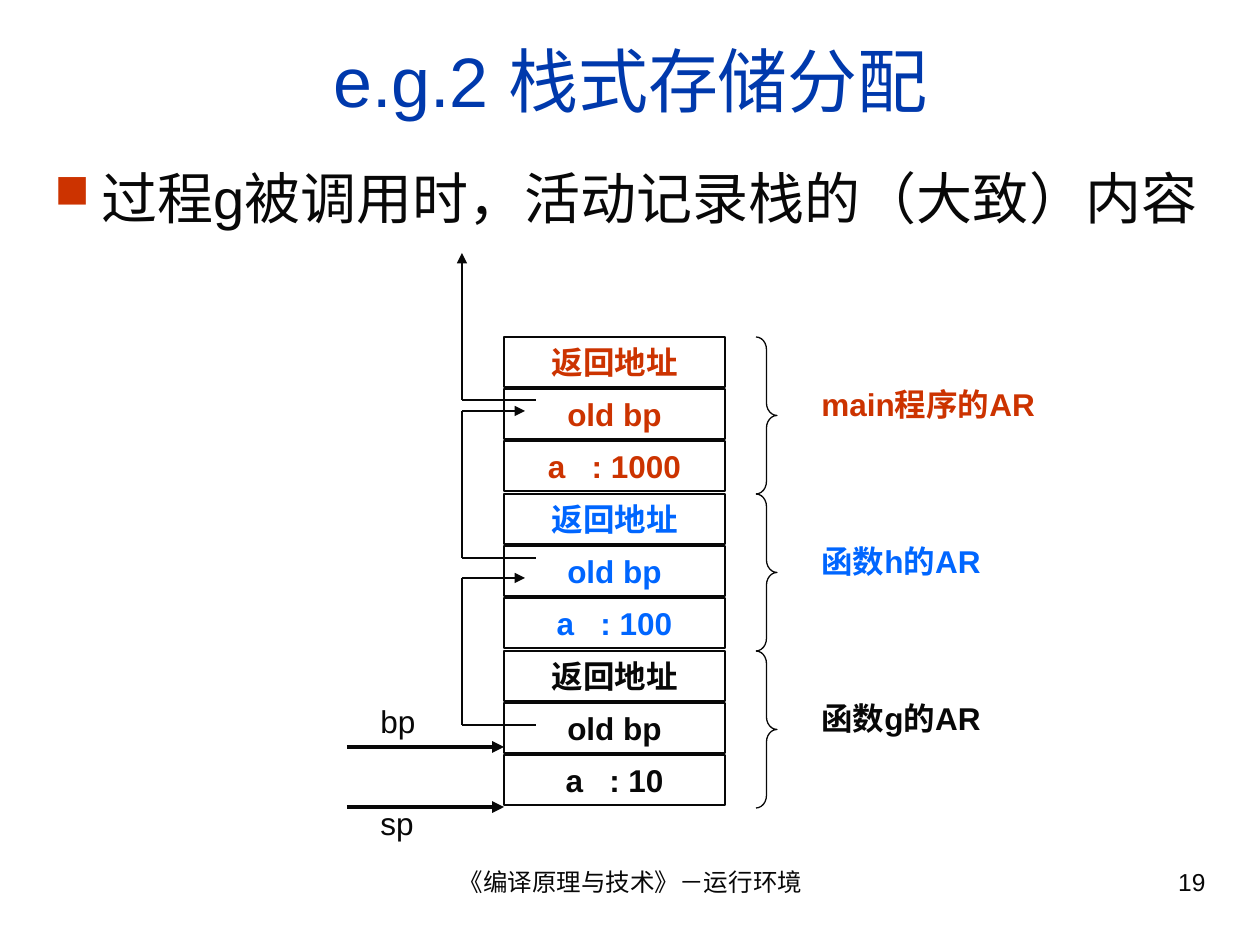
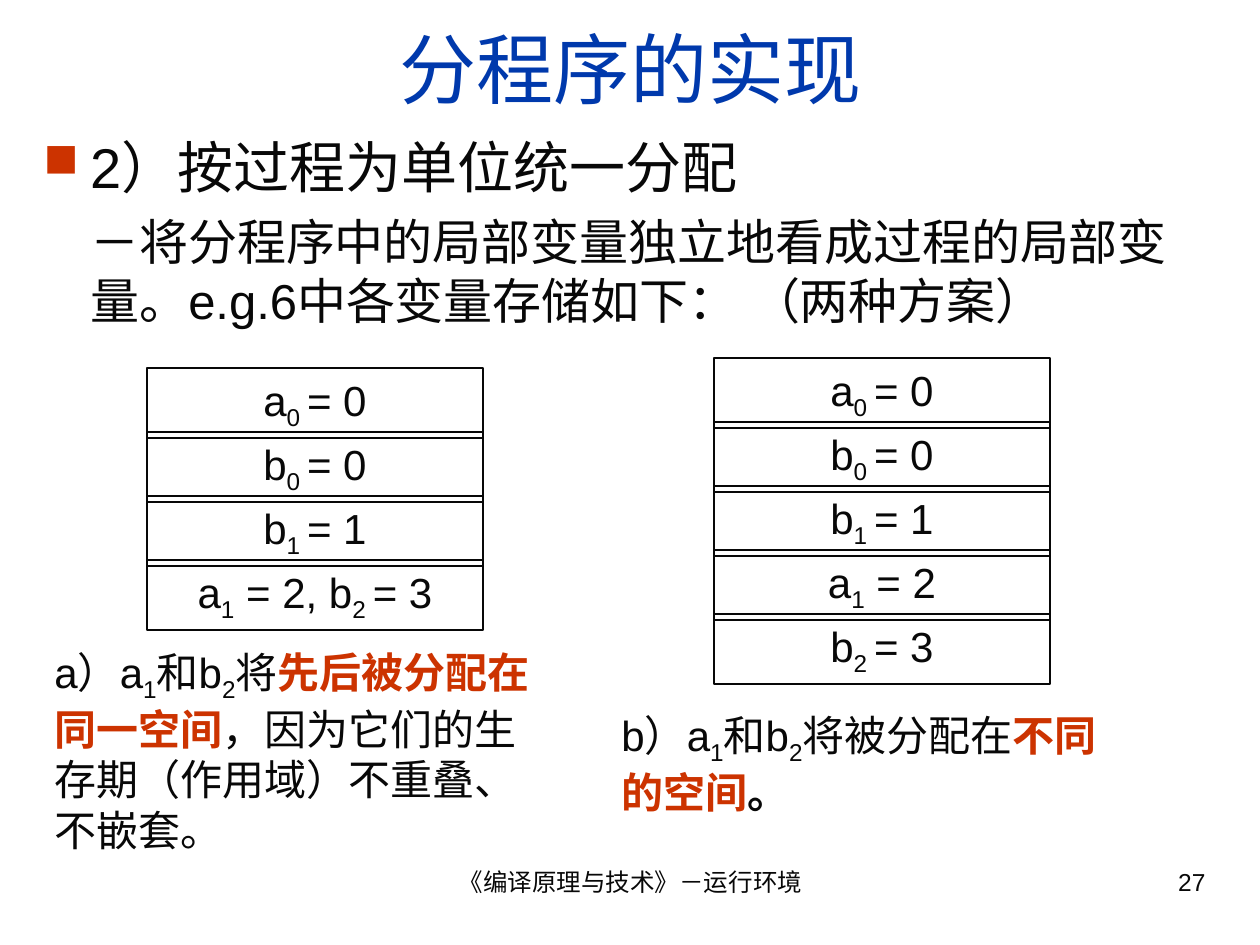
from lxml.etree import SubElement
from pptx import Presentation
from pptx.dml.color import RGBColor
from pptx.enum.shapes import MSO_CONNECTOR, MSO_SHAPE
from pptx.enum.text import MSO_ANCHOR, MSO_AUTO_SIZE, PP_ALIGN
from pptx.oxml.ns import qn
from pptx.util import Emu, Pt

INK = RGBColor(0x08, 0x08, 0x08)
NAVY = RGBColor(0x00, 0x39, 0xAC)
RED = RGBColor(0xCC, 0x33, 0x00)
BLUE = RGBColor(0x00, 0x66, 0xFF)
FACE = "Arial"
WIDE, HIGH = 1260, 945
COURSE = "《编译原理与技术》－运行环境"


def px(n):
    """Turn px into EMU."""
    return Emu(n * 914400 // 126)


def style(para, size, color=INK, bold=False, align=PP_ALIGN.LEFT):
    """Set the font and alignment of a paragraph."""
    para.alignment = align
    font = para.font
    font.name, font.size, font.bold = FACE, Pt(size), bold
    font.color.rgb = color
    base = para._p.pPr.find(qn("a:defRPr"))
    SubElement(base, qn("a:ea")).set("typeface", FACE)


def write(para, text):
    """Add runs split by |, marked _ low, ~ wide, + bold, ! bold and red."""
    for part in text.split("|"):
        mark = part[0] if part[0] in "_~+!" else ""
        run = para.add_run()
        run.text = part[len(mark):]
        if mark == "_":
            run._r.get_or_add_rPr().set("baseline", "-25000")
        elif mark == "~":
            run._r.get_or_add_rPr().set("spc", "1000")
        elif mark:
            run.font.bold = True
            if mark == "!":
                run.font.color.rgb = RED


def label(slide, box, text, size, **look):
    """Add a wrapped text box with one paragraph."""
    frame = slide.shapes.add_textbox(*map(px, box)).text_frame
    frame.word_wrap = True
    para = frame.paragraphs[0]
    write(para, text)
    style(para, size, **look)


def outline(slide, kind, box):
    """Add an unfilled shape with a thin dark line."""
    shape = slide.shapes.add_shape(kind, *map(px, box))
    shape.shadow.inherit = False
    shape.fill.background()
    shape.line.color.rgb = INK
    shape.line.width = Pt(0.75)
    return shape


def cell(slide, box, text, size, **look):
    """Add one framed storage cell."""
    frame = outline(slide, MSO_SHAPE.RECTANGLE, box).text_frame
    frame.word_wrap = True
    frame.vertical_anchor = MSO_ANCHOR.TOP
    para = frame.paragraphs[0]
    write(para, text)
    style(para, size, align=PP_ALIGN.CENTER, **look)


def line(slide, start, end, width=0.75, head=False):
    """Add a straight line, with an arrowhead at its end if asked."""
    link = slide.shapes.add_connector(
        MSO_CONNECTOR.STRAIGHT, *map(px, (*start, *end)))
    link.line.color.rgb = INK
    link.line.width = Pt(width)
    props = link._element.spPr
    if head:
        SubElement(props.find(qn("a:ln")), qn("a:tailEnd")).set("type", "triangle")
    SubElement(props, qn("a:effectLst"))


def base(deck, text, size, top, number):
    """Add a slide with its title, footer and number."""
    slide = deck.slides.add_slide(deck.slide_layouts[5])
    title = slide.shapes.title
    title.left, title.top, title.width, title.height = map(
        px, (42, top, 1177, 126 - top))
    frame = title.text_frame
    frame.auto_size = MSO_AUTO_SIZE.NONE
    frame.vertical_anchor = MSO_ANCHOR.MIDDLE
    para = frame.paragraphs[0]
    write(para, text)
    style(para, size, NAVY, align=PP_ALIGN.CENTER)
    label(slide, (431, 861, 399, 66), COURSE, 14, align=PP_ALIGN.CENTER)
    label(slide, (903, 861, 315, 66), str(number), 14, align=PP_ALIGN.RIGHT)
    return slide


def body(slide, box, point, more=None):
    """Add a bulleted point and an optional indented paragraph."""
    frame = slide.shapes.add_textbox(*map(px, box)).text_frame
    frame.word_wrap = True
    para = frame.paragraphs[0]
    write(para, point)
    props = para._p.get_or_add_pPr()
    props.set("marL", str(px(47)))
    props.set("indent", str(-px(47)))
    tint = SubElement(SubElement(props, qn("a:buClr")), qn("a:srgbClr"))
    tint.set("val", str(RED))
    SubElement(props, qn("a:buSzPct")).set("val", "85000")
    SubElement(props, qn("a:buChar")).set("char", "■")
    style(para, 32)
    if more:
        para = frame.add_paragraph()
        write(para, more)
        para._p.get_or_add_pPr().set("marL", str(px(47)))
        para.space_before = Pt(7)
        style(para, 28)


def record(slide, box, value, name, color):
    """Draw one activation record with its brace and name."""
    left, top, width, height = box
    for row, text in enumerate(("返回地址", "old bp", f"a|~ |: {value}")):
        cell(slide, (left, top + row * 52, width, 50), text, 18,
             color=color, bold=True)
    brace = outline(slide, MSO_SHAPE.RIGHT_BRACE,
                    (left + width + 31, top, 21, height))
    brace.adjustments[0] = 0.6
    label(slide, (left + width + 84, top + 42, 262, 50), name, 18,
          color=color, bold=True)


def chain(slide, left, low, last=False):
    """Draw the link from an old bp up to the record above it."""
    high = low - 147
    line(slide, (left + 74, low), (left, low))
    line(slide, (left, low), (left, high), head=last)
    if not last:
        line(slide, (left, high), (left + 63, high), head=True)


def stack(slide, left, top):
    """Draw the record stack, its links and its two pointers."""
    records = ((1000, "main程序的AR", RED), (100, "函数h的AR", BLUE),
               (10, "函数g的AR", INK))
    for step, parts in enumerate(records):
        record(slide, (left, top + step * 157, 221, 157), *parts)
    for low in (388, 221, 63):
        chain(slide, left - 42, top + low, last=low == 63)
    for name, tip, text in (("bp", 410, 359), ("sp", 470, 461)):
        line(slide, (left - 157, top + tip), (left, top + tip), 2.25, True)
        label(slide, (left - 136, top + text, 116, 50), name, 18)


def scheme(slide, left, top, cells, note, drop):
    """Draw a column of variables with its note below."""
    for row, text in enumerate(cells):
        cell(slide, (left, top + row * 64, 336, 70), text, 24)
    label(slide, (left - 105, top + drop, 525, 220), note, 24)


def main():
    """Build and save both slides."""
    deck = Presentation()
    deck.slide_width, deck.slide_height = px(WIDE), px(HIGH)

    slide = base(deck, "e.g.2 栈式存储分配", 40, 32, 19)
    body(slide, (42, 157, 1177, 693),
         "过程g被调用时，活动记录栈的（大致）内容")
    stack(slide, 504, 337)

    slide = base(deck, "分程序的实现", 44, 10, 27)
    body(slide, (31, 126, 1177, 231), "2）按过程为单位统一分配",
         "－将分程序中的局部变量独立地看成过程的局部变量。"
         "e.g.6中各变量存储如下： （两种方案）")
    shared = ["a|_0 |= 0", "b|_0 |= 0", "b|_1 |= 1"]
    scheme(slide, 147, 368, shared + ["a|_1| = 2, b|_2 |= 3"],
           "a）a|_1|和b|_2|将|!先后被分配在同一空间|"
           "，因为它们的生存期（作用域）不重叠、不嵌套。", 272)
    scheme(slide, 714, 358, shared + ["a|_1| = 2", "b|_2 |= 3"],
           "b）a|_1|和b|_2|将被分配在|!不同的空间|+。", 345)
    deck.save("out.pptx")


if __name__ == "__main__":
    main()
